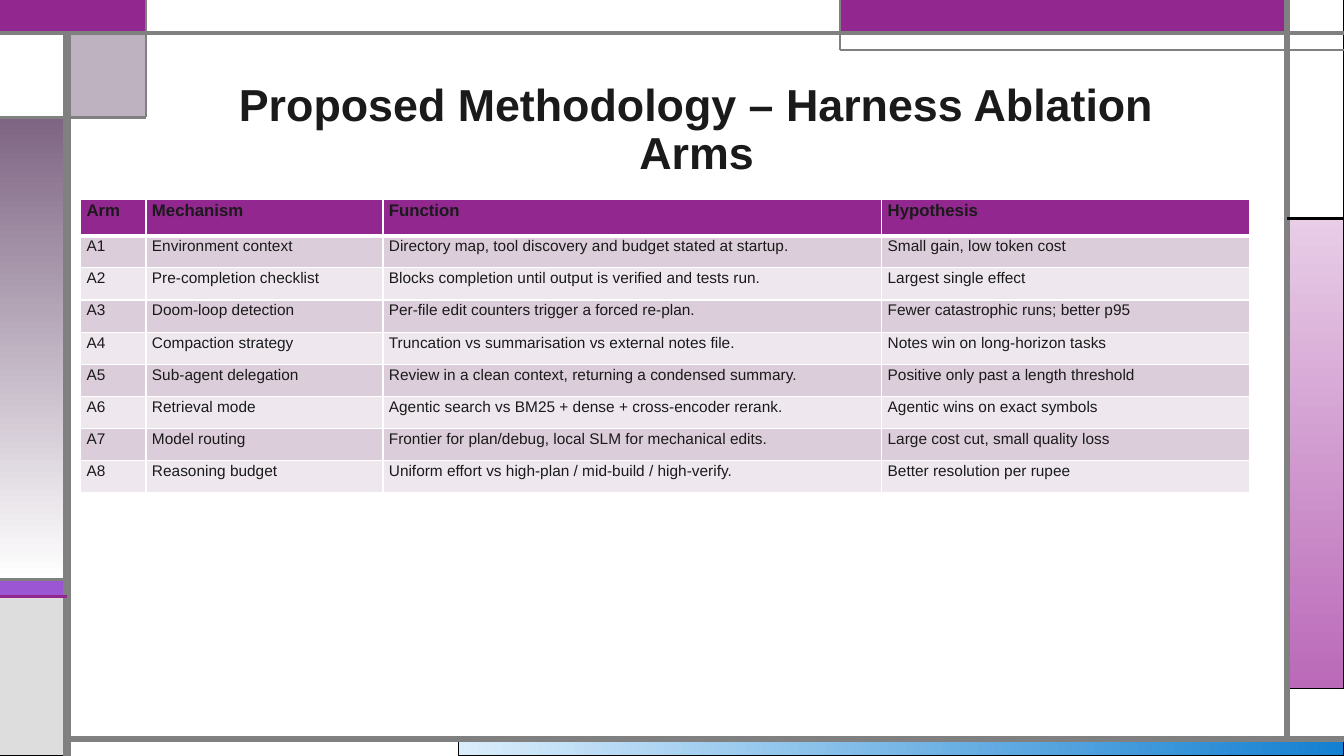
import pptx
import pptx.dml.color
import pptx.enum.shapes
import pptx.enum.text
import pptx.oxml.ns
import pptx.util
from lxml import etree
from pptx.util import Cm

FONT = "Arial"
COLORS = {
    "ink": "1A1A1A", "white": "FFFFFF", "black": "000000", "grey": "808080",
    "silver": "DDDDDD", "purple": "92278F", "violet": "9B57D3",
    "indigo": "755DD9", "mauve": "7E6583", "pink": "E8CDE7",
    "orchid": "BA69B8", "ice": "DAEDFB", "blue": "1480D1",
    "band_dark": "DCCDDB", "band_light": "EEE8EE",
}

# Guide positions shared by the frame's panels and rules, in cm
WIDTH, HEIGHT = 33.87, 19.05
LEFT_RULE, RIGHT_RULE = 1.69, 32.44
TOP_RULE, BOTTOM_RULE = 0.84, 18.63
TAB_X, TAB_Y = 3.67, 2.96
BANNER_X, BANNER_Y = 21.17, 1.27
VIOLET_Y, SILVER_Y = 14.61, 15.03
PINK_Y, PINK_END = 5.5, 17.36
BLUE_X = 11.56

# Left, top, right, bottom, fill (two names make a gradient), outline, extras
PANELS = [
    (BLUE_X, BOTTOM_RULE, WIDTH, HEIGHT, ("ice", "blue"), "black", {"angle": 0}),
    (RIGHT_RULE, PINK_Y, WIDTH, PINK_END, ("pink", "orchid"), "black", {}),
    (0, VIOLET_Y, LEFT_RULE, SILVER_Y, "violet", "black", {}),
    (0, SILVER_Y, LEFT_RULE, HEIGHT, "silver", "black", {}),
    (RIGHT_RULE, 0, WIDTH, PINK_Y, "white", "black", {}),
    (BANNER_X, 0, RIGHT_RULE, TOP_RULE, "purple", "indigo", {}),
    (LEFT_RULE, TOP_RULE, TAB_X, TAB_Y, "mauve", "black", {"opacity": 50}),
    (0, TAB_Y, LEFT_RULE, VIOLET_Y, ("mauve", "white"), "black", {}),
    (0, TOP_RULE, LEFT_RULE, TAB_Y, "white", "black", {}),
    (0, 0, TAB_X, TOP_RULE, "purple", "purple", {"weight": 1.5}),
    (TAB_X, 0, BANNER_X, TOP_RULE, "white", "grey", {}),
]

# Start x, start y, end x, end y, colour, weight in points
RULES = [
    (LEFT_RULE, HEIGHT, LEFT_RULE, TOP_RULE, "grey", 6),
    (LEFT_RULE, BOTTOM_RULE, WIDTH, BOTTOM_RULE, "grey", 4.5),
    (RIGHT_RULE, BOTTOM_RULE, RIGHT_RULE, 0, "grey", 4.5),
    (0, TOP_RULE, WIDTH, TOP_RULE, "grey", 3),
    (WIDTH, BANNER_Y, BANNER_X, BANNER_Y, "grey", 1.5),
    (BANNER_X, BANNER_Y, BANNER_X, 0, "grey", 1.5),
    (RIGHT_RULE, PINK_Y, WIDTH, PINK_Y, "black", 2.25),
    (TAB_X, 0, TAB_X, TAB_Y, "grey", 1.5),
    (TAB_X, TAB_Y, 0, TAB_Y, "grey", 2.25),
    (LEFT_RULE, VIOLET_Y, 0, VIOLET_Y, "grey", 2.25),
    (LEFT_RULE, SILVER_Y, 0, SILVER_Y, "purple", 2.25),
]

COLUMN_WIDTHS = [1.65, 5.97, 12.57, 9.27]
ARMS = [
    ("Arm", "Mechanism", "Function", "Hypothesis"),
    ("A1", "Environment context",
     "Directory map, tool discovery and budget stated at startup.",
     "Small gain, low token cost"),
    ("A2", "Pre-completion checklist",
     "Blocks completion until output is verified and tests run.",
     "Largest single effect"),
    ("A3", "Doom-loop detection",
     "Per-file edit counters trigger a forced re-plan.",
     "Fewer catastrophic runs; better p95"),
    ("A4", "Compaction strategy",
     "Truncation vs summarisation vs external notes file.",
     "Notes win on long-horizon tasks"),
    ("A5", "Sub-agent delegation",
     "Review in a clean context, returning a condensed summary.",
     "Positive only past a length threshold"),
    ("A6", "Retrieval mode",
     "Agentic search vs BM25 + dense + cross-encoder rerank.",
     "Agentic wins on exact symbols"),
    ("A7", "Model routing",
     "Frontier for plan/debug, local SLM for mechanical edits.",
     "Large cost cut, small quality loss"),
    ("A8", "Reasoning budget",
     "Uniform effort vs high-plan / mid-build / high-verify.",
     "Better resolution per rupee"),
]


def rgb(name):
    return pptx.dml.color.RGBColor.from_string(COLORS[name])


def write_text(frame, text, *, size, bold=False, align=None, spacing=None):
    paragraph = frame.paragraphs[0]
    paragraph.alignment = align
    paragraph.line_spacing = spacing
    run = paragraph.add_run()
    run.text = text
    run.font.name = FONT
    run.font.size = pptx.util.Pt(size)
    run.font.bold = bold
    run.font.color.rgb = rgb("ink")


def add_panel(slide, left, top, right, bottom, fill, outline, *,
              weight=0.75, angle=270, opacity=None):
    panel = slide.shapes.add_shape(
        pptx.enum.shapes.MSO_SHAPE.RECTANGLE,
        Cm(left), Cm(top), Cm(right - left), Cm(bottom - top))
    panel.shadow.inherit = False
    panel.line.color.rgb = rgb(outline)
    panel.line.width = pptx.util.Pt(weight)
    if isinstance(fill, tuple):
        panel.fill.gradient()
        panel.fill.gradient_angle = angle
        for stop, name in zip(panel.fill.gradient_stops, fill):
            stop.color.rgb = rgb(name)
    else:
        panel.fill.solid()
        panel.fill.fore_color.rgb = rgb(fill)
    if opacity is not None:
        tint = panel.element.spPr.find(
            pptx.oxml.ns.qn("a:solidFill")).find(pptx.oxml.ns.qn("a:srgbClr"))
        etree.SubElement(tint, pptx.oxml.ns.qn("a:alpha"), val=str(opacity * 1000))


def add_rule(slide, x1, y1, x2, y2, color, weight):
    rule = slide.shapes.add_connector(
        pptx.enum.shapes.MSO_CONNECTOR.STRAIGHT, Cm(x1), Cm(y1), Cm(x2), Cm(y2))
    rule.line.color.rgb = rgb(color)
    rule.line.width = pptx.util.Pt(weight)
    etree.SubElement(rule.element.spPr, pptx.oxml.ns.qn("a:effectLst"))


def add_title(slide, text):
    title = slide.shapes.title
    title.left, title.top, title.width, title.height = (
        Cm(4.22), Cm(1.47), Cm(26.67), Cm(3.18))
    frame = title.text_frame
    frame.word_wrap = True
    frame.auto_size = pptx.enum.text.MSO_AUTO_SIZE.NONE
    frame.vertical_anchor = pptx.enum.text.MSO_ANCHOR.BOTTOM
    frame.margin_left = frame.margin_right = Cm(0.4)
    write_text(frame, text, size=32, bold=True,
               align=pptx.enum.text.PP_ALIGN.CENTER, spacing=0.9)


def set_borders(cell, **weights):
    properties = cell._tc.get_or_add_tcPr()
    for side in ("lnL", "lnR", "lnT", "lnB"):
        width = pptx.util.Pt(weights.get(side, 1))
        border = etree.SubElement(properties, pptx.oxml.ns.qn(f"a:{side}"), w=str(width))
        fill = etree.SubElement(border, pptx.oxml.ns.qn("a:solidFill"))
        etree.SubElement(fill, pptx.oxml.ns.qn("a:srgbClr"), val=COLORS["white"])


def add_arms_table(slide):
    heights = [0.91] + [0.81] * (len(ARMS) - 1)
    arms = slide.shapes.add_table(
        len(ARMS), len(COLUMN_WIDTHS), Cm(2.03), Cm(5.03),
        Cm(sum(COLUMN_WIDTHS)), Cm(sum(heights))).table
    for column, width in zip(arms.columns, COLUMN_WIDTHS):
        column.width = Cm(width)
    for index, (row, height, texts) in enumerate(zip(arms.rows, heights, ARMS)):
        row.height = Cm(height)
        header = index == 0
        band = "purple" if header else ("band_light", "band_dark")[index % 2]
        # The header is parted from the body by a thick border
        weights = {0: {"lnB": 3}, 1: {"lnT": 3}}.get(index, {})
        for cell, text in zip(row.cells, texts):
            cell.margin_left = cell.margin_right = Cm(0.15)
            cell.margin_top = cell.margin_bottom = Cm(0.05)
            set_borders(cell, **weights)
            cell.fill.solid()
            cell.fill.fore_color.rgb = rgb(band)
            write_text(cell.text_frame, text, size=12 if header else 11, bold=header)


def main():
    deck = pptx.Presentation()
    deck.slide_width, deck.slide_height = Cm(WIDTH), Cm(HEIGHT)
    slide = deck.slides.add_slide(deck.slide_layouts[5])

    # Decorative frame
    for *panel, extras in PANELS:
        add_panel(slide, *panel, **extras)
    for rule in RULES:
        add_rule(slide, *rule)

    # Content
    add_title(slide, "Proposed Methodology – Harness Ablation Arms")
    add_arms_table(slide)
    deck.save("out.pptx")


if __name__ == "__main__":
    main()
